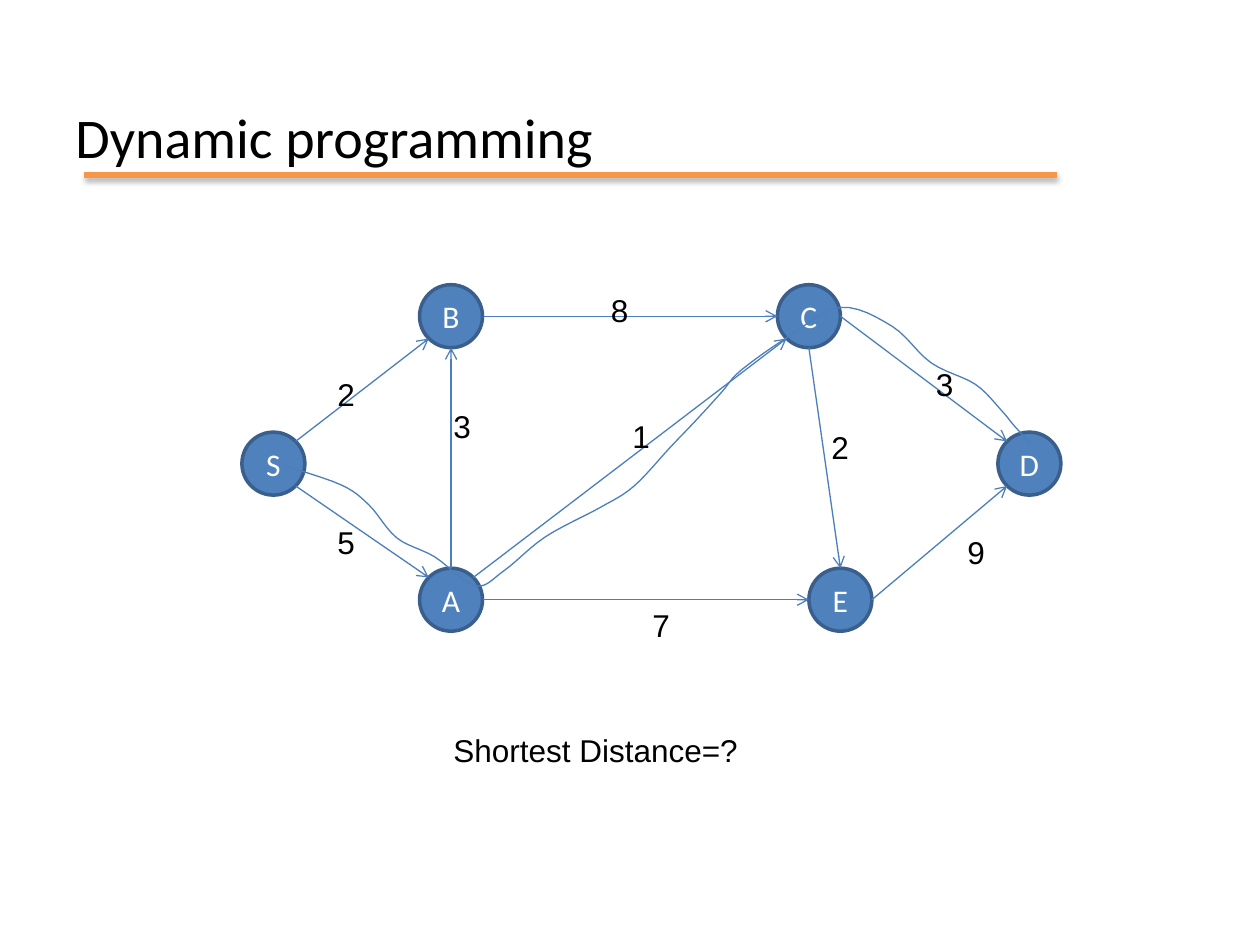
from math import sqrt

from lxml import etree
from pptx import Presentation
from pptx.dml.color import RGBColor
from pptx.enum.shapes import MSO_CONNECTOR, MSO_SHAPE
from pptx.enum.text import MSO_ANCHOR, MSO_AUTO_SIZE, PP_ALIGN
from pptx.oxml import parse_xml
from pptx.oxml.ns import nsdecls, qn
from pptx.util import Inches, Pt

STRAIGHT = MSO_CONNECTOR.STRAIGHT
OVAL = MSO_SHAPE.OVAL
MIDDLE = MSO_ANCHOR.MIDDLE
TOP = MSO_ANCHOR.TOP
CENTER = PP_ALIGN.CENTER
LEFT = PP_ALIGN.LEFT
GROW = MSO_AUTO_SIZE.SHAPE_TO_FIT_TEXT

COLORS = {"node": "4F81BD", "border": "3A5F8C", "edge": "4B7EBC",
          "rule": "F79646", "text": "000000", "node_text": "FFFFFF"}

TITLE = "Dynamic programming"
QUESTION = "Shortest Distance=?"

RADIUS = 0.25
COLUMNS = {"start": 2.17, "left": 3.58, "right": 6.42, "lower_right": 6.67, "goal": 8.17}
ROWS = {"top": 2.51, "middle": 3.68, "bottom": 4.76}
NODES = {"A": ("left", "bottom"), "B": ("left", "top"), "C": ("right", "top"),
         "S": ("start", "middle"), "E": ("lower_right", "bottom"),
         "D": ("goal", "middle")}

DIAGONAL = sqrt(0.5)
SIDES = {"n": (0, -1), "s": (0, 1), "w": (-1, 0), "e": (1, 0),
         "ne": (DIAGONAL, -DIAGONAL), "nw": (-DIAGONAL, -DIAGONAL),
         "se": (DIAGONAL, DIAGONAL), "sw": (-DIAGONAL, DIAGONAL)}

EDGES = [
    ("S", "ne", "B", "sw", "2", (2.58, 2.93)),
    ("B", "e", "C", "w", "8", (4.75, 2.26)),
    ("A", "ne", "C", "sw", "1", (4.92, 3.26)),
    ("S", "se", "A", "nw", "5", (2.58, 4.1)),
    ("A", "e", "E", "w", "7", (5.08, 4.76)),
    ("C", "e", "D", "nw", "3", (7.33, 2.85)),
    ("E", "e", "D", "sw", "9", (7.58, 4.18)),
    ("C", "s", "E", "n", "2", (6.5, 3.35)),
    ("A", "n", "B", "s", "3", (3.5, 3.18)),
]
LABEL_SIZE = (0.33, 0.4)

SHORTEST_ROUTE = {
    "S to A": [(2.27, 3.7), (2.71, 3.85), (2.93, 4.01), (3.15, 4.27), (3.45, 4.42)],
    "A to C": [(3.77, 4.65), (4.0, 4.53), (4.33, 4.26), (4.76, 4.03), (5.03, 3.86),
               (5.32, 3.55), (5.53, 3.33), (5.73, 3.11), (5.88, 2.94)],
    "C to D": [(6.26, 2.67), (6.67, 2.44), (7.08, 2.59), (7.39, 2.88), (7.74, 3.05),
               (7.95, 3.26), (8.05, 3.38), (8.18, 3.52)],
}
CURVE_STEPS = 6


def color(name):
    return RGBColor.from_string(COLORS[name])


def write(frame, text, size, font, ink, align, anchor):
    frame.word_wrap = True
    frame.vertical_anchor = anchor
    para = frame.paragraphs[0]
    para.alignment = align
    span = para.add_run()
    span.text = text
    span.font.size = Pt(size)
    span.font.name = font
    span.font.color.rgb = color(ink)


def add_text(page, place, text, size=18, font="Arial", anchor=TOP):
    box = page.shapes.add_textbox(*map(Inches, place))
    write(box.text_frame, text, size, font, "text", LEFT, anchor)
    return box.text_frame


def node_center(name):
    column, row = NODES[name]
    return COLUMNS[column], ROWS[row]


def add_node(page, name):
    x, y = node_center(name)
    node = page.shapes.add_shape(OVAL, Inches(x - RADIUS), Inches(y - RADIUS),
                                 Inches(2 * RADIUS), Inches(2 * RADIUS))
    node.shadow.inherit = False
    node.fill.solid()
    node.fill.fore_color.rgb = color("node")
    node.line.color.rgb = color("border")
    node.line.width = Pt(2)
    write(node.text_frame, name, 18, "Calibri", "node_text", CENTER, MIDDLE)


def add_line(page, start, end, ink, width):
    line = page.shapes.add_connector(STRAIGHT, *map(Inches, start + end))
    line.line.color.rgb = color(ink)
    line.line.width = Pt(width)
    effects = etree.SubElement(line._element.spPr, qn("a:effectLst"))
    return line, effects


def rim_point(name, side):
    return tuple(middle + RADIUS * step
                 for middle, step in zip(node_center(name), SIDES[side]))


def add_arrow(page, start, end):
    arrow, _ = add_line(page, start, end, "edge", 0.75)
    etree.SubElement(arrow.line._get_or_add_ln(), qn("a:tailEnd"), type="arrow")


def add_rule(page):
    _, effects = add_line(page, (0.67, 1.39), (8.39, 1.39), "rule", 3)
    effects.append(parse_xml(
        f'<a:outerShdw {nsdecls("a")} blurRad="40000" dist="23000" dir="5400000" '
        'rotWithShape="0"><a:srgbClr val="000000"><a:alpha val="35000"/>'
        '</a:srgbClr></a:outerShdw>'))


def between(before, start, end, after, t):
    """Catmull-Rom position at fraction t of the way from start to end."""
    return start + t / 2 * (
        end - before
        + t * (2 * before - 5 * start + 4 * end - after)
        + t * t * (3 * (start - end) + after - before))


def smooth_curve(stops):
    padded = [stops[0], *stops, stops[-1]]
    curve = [stops[0]]
    for window in zip(padded, padded[1:], padded[2:], padded[3:]):
        xs, ys = zip(*window)
        for step in range(1, CURVE_STEPS + 1):
            t = step / CURVE_STEPS
            curve.append((between(*xs, t), between(*ys, t)))
    return curve


def add_route(page):
    stops = [stop for leg in SHORTEST_ROUTE.values() for stop in leg]
    start, *rest = [(Inches(x), Inches(y)) for x, y in smooth_curve(stops)]
    builder = page.shapes.build_freeform(*start)
    builder.add_line_segments(rest, close=False)
    route = builder.convert_to_shape()
    route.shadow.inherit = False
    route.fill.background()
    route.line.color.rgb = color("edge")
    route.line.width = Pt(0.75)


def main():
    deck = Presentation()
    deck.slide_width, deck.slide_height = Inches(10), Inches(7.5)
    page = deck.slides.add_slide(deck.slide_layouts[6])
    for name in NODES:
        add_node(page, name)
    for source, source_side, target, target_side, _, _ in EDGES:
        add_arrow(page, rim_point(source, source_side),
                  rim_point(target, target_side))
    for *_, weight, corner in EDGES:
        add_text(page, corner + LABEL_SIZE, weight).auto_size = GROW
    add_rule(page)
    add_text(page, (0.5, 0.58, 9, 1), TITLE, 32, "Calibri", MIDDLE)
    add_route(page)
    question = add_text(page, (3.5, 5.75, 2.48, 0.4), QUESTION)
    question.word_wrap = False
    question.auto_size = GROW
    deck.save("out.pptx")


if __name__ == "__main__":
    main()
